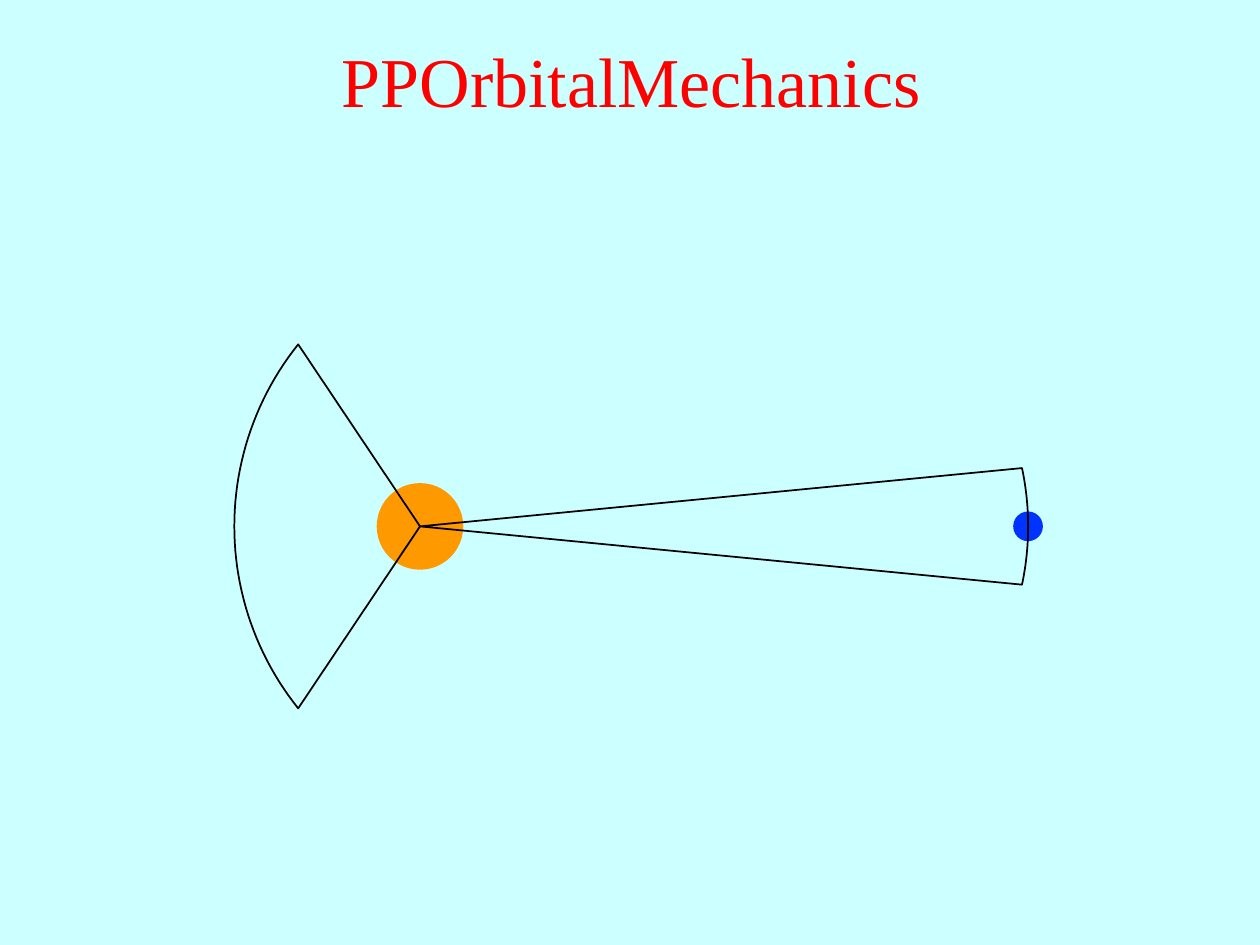
"""Build a slide showing equal areas swept by a planet around its sun."""
from math import asin, cos, hypot, sin

from pptx import Presentation
from pptx.dml.color import RGBColor
from pptx.enum.shapes import MSO_SHAPE as Shape
from pptx.enum.text import MSO_ANCHOR as Anchor, PP_ALIGN as Align
from pptx.util import Pt

TITLE = "PPOrbitalMechanics"
SUN = (240, 300.8)
BODIES = [
    {"center": SUN, "diameter": 48.5, "color": "FF9900"},
    {"center": (587.5, SUN[1]), "diameter": 16, "color": "0033FF"},
]
SECTORS = [
    {"edge_x": 584, "rim_x": 587.5, "half_height": 33.3},
    {"edge_x": 170.4, "rim_x": 133.9, "half_height": 104},
]
ARC_STEPS = 48


def rgb(color):
    return RGBColor.from_string(color)


def outline(shape, color):
    shape.shadow.inherit = False
    shape.line.color.rgb = rgb(color)
    shape.line.width = Pt(1)


def add_body(slide, center, diameter, color):
    left, top = (Pt(middle - diameter / 2) for middle in center)
    body = slide.shapes.add_shape(Shape.OVAL, left, top, Pt(diameter), Pt(diameter))
    body.fill.solid()
    body.fill.fore_color.rgb = rgb(color)
    outline(body, color)


def arc_points(edge_x, rim_x, half_height):
    depth = rim_x - edge_x
    radius = hypot(depth, half_height) ** 2 / (2 * abs(depth))
    signed_radius = radius if depth > 0 else -radius
    half_angle = asin(half_height / radius)
    for step in range(ARC_STEPS + 1):
        angle = half_angle * (2 * step / ARC_STEPS - 1)
        x = rim_x - signed_radius * (1 - cos(angle))
        yield Pt(x), Pt(SUN[1] + radius * sin(angle))


def add_sector(slide, **arc):
    builder = slide.shapes.build_freeform(*map(Pt, SUN))
    builder.add_line_segments(list(arc_points(**arc)), close=True)
    sector = builder.convert_to_shape()
    sector.fill.background()
    outline(sector, "000000")


def add_title(slide):
    title = slide.shapes.title
    title.left, title.top, title.width, title.height = map(Pt, (0, 0, 721.5, 90.7))
    title.text_frame.vertical_anchor = Anchor.MIDDLE
    paragraph = title.text_frame.paragraphs[0]
    paragraph.alignment = Align.CENTER
    heading = paragraph.add_run()
    heading.text = TITLE
    heading.font.name = "Times New Roman"
    heading.font.size = Pt(40)
    heading.font.color.rgb = rgb("FF0000")


def main():
    deck = Presentation()
    deck.slide_width, deck.slide_height = Pt(720), Pt(540)
    slide = deck.slides.add_slide(deck.slide_layouts[5])
    slide.background.fill.solid()
    slide.background.fill.fore_color.rgb = rgb("CCFFFF")
    add_title(slide)
    for body in BODIES:
        add_body(slide, **body)
    for sector in SECTORS:
        add_sector(slide, **sector)
    deck.save("out.pptx")


if __name__ == "__main__":
    main()
